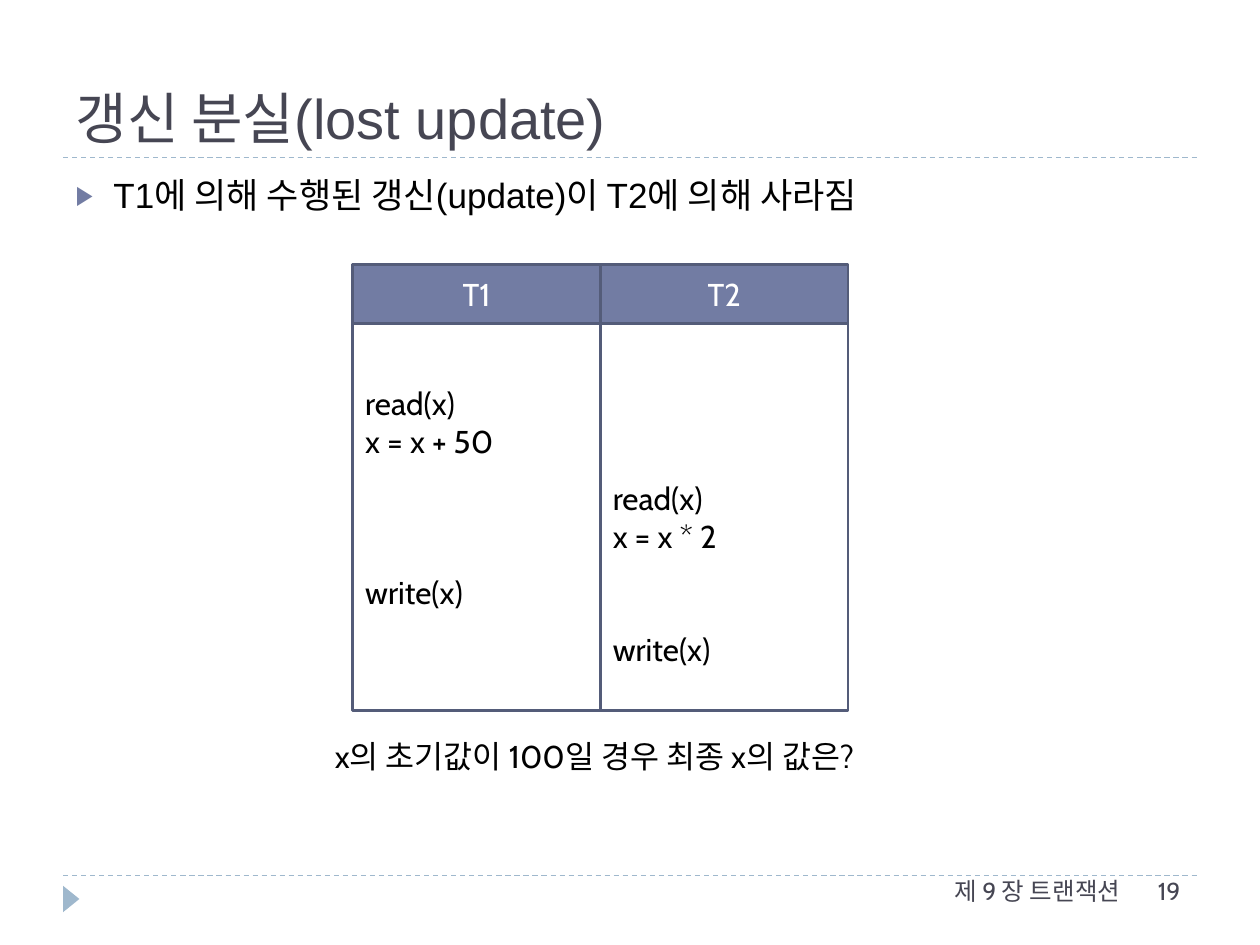
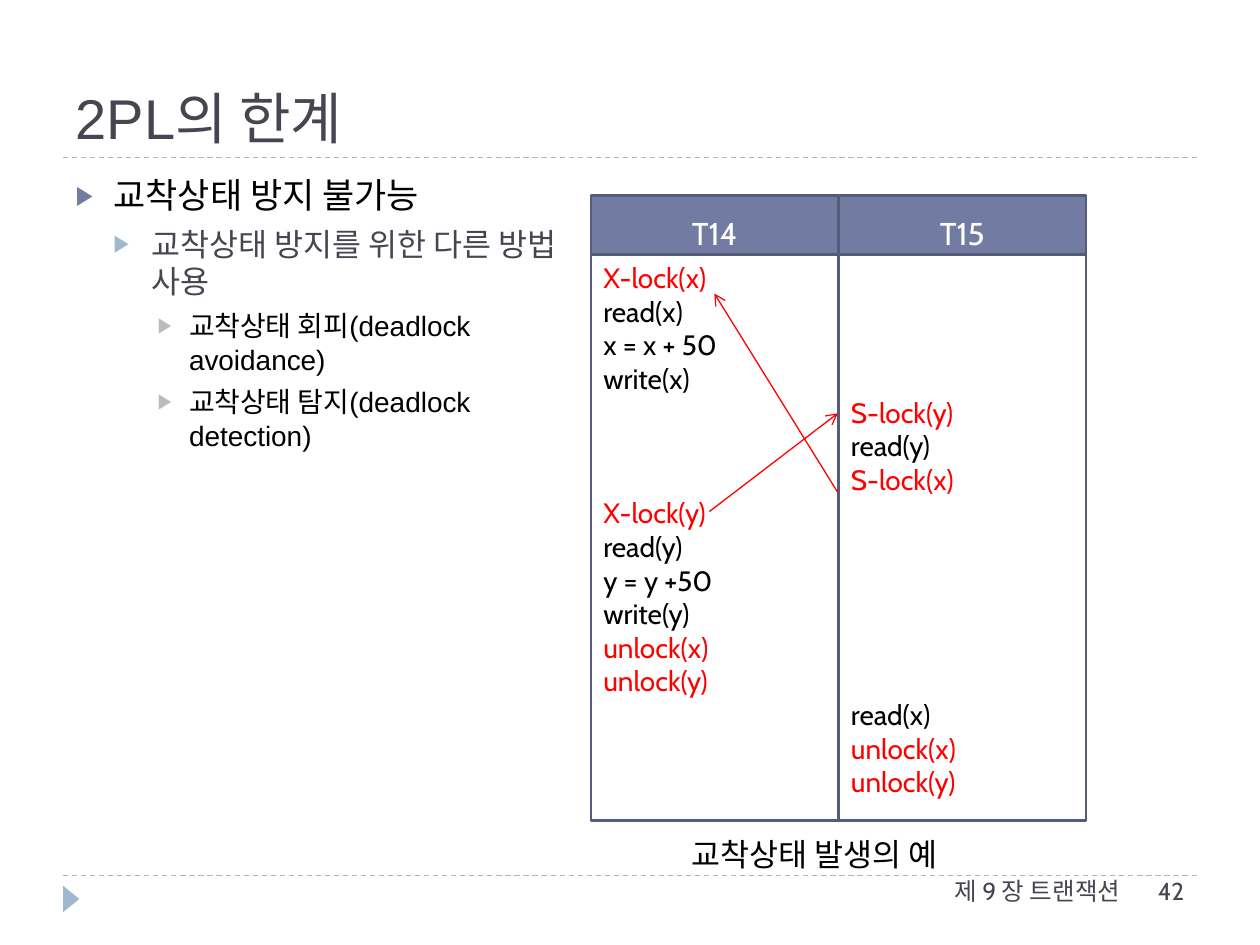
import dataclasses
from typing import Optional

import lxml.etree
import pptx
import pptx.dml.color
import pptx.enum.dml
import pptx.enum.shapes
import pptx.enum.text
import pptx.oxml.ns
import pptx.slide
import pptx.util

RGBColor = pptx.dml.color.RGBColor
Anchor = pptx.enum.text.MSO_ANCHOR
Align = pptx.enum.text.PP_ALIGN
Preset = pptx.enum.shapes.MSO_SHAPE

WHITE = RGBColor(0xFF, 0xFF, 0xFF)
BLACK = RGBColor(0x00, 0x00, 0x00)
RED = RGBColor(0xFF, 0x00, 0x00)
SLATE = RGBColor(0x46, 0x46, 0x53)
INDIGO = RGBColor(0x72, 0x7C, 0xA3)
DARK_INDIGO = RGBColor(0x54, 0x5C, 0x79)
PALE_BLUE = RGBColor(0x9F, 0xB8, 0xCD)
GREY = RGBColor(0xBC, 0xBC, 0xBC)

HEADING_FONT = "Arial"
TEXT_FONT = "Cabin"
CHAPTER = "제 9 장 트랜잭션"

SLIDE_WIDTH = pptx.util.Inches(10)
SLIDE_HEIGHT = pptx.util.Inches(7.5)
GRID_COLUMNS = 20
GRID_ROWS = 15
LINE_SPACING = 1.2


@dataclasses.dataclass(frozen=True)
class Area:
    column: float
    row: float
    columns: float
    rows: float


@dataclasses.dataclass(frozen=True)
class BulletLevel:
    indent: float
    hanging: float
    before: float
    size: float
    color: RGBColor
    bullet_color: RGBColor


@dataclasses.dataclass(frozen=True)
class Bullet:
    text: str
    level: int = 0


@dataclasses.dataclass(frozen=True)
class Step:
    row: float
    text: str


@dataclasses.dataclass(frozen=True)
class Transaction:
    name: str
    steps: list[Step]


@dataclasses.dataclass(frozen=True)
class Schedule:
    column: float
    header_row: float
    header_rows: float
    body_row: float
    body_rows: float
    top_inset: float
    size: float
    fill: Optional[RGBColor]
    transactions: list[Transaction]


@dataclasses.dataclass(frozen=True)
class Arrow:
    start: tuple[float, float]
    end: tuple[float, float]


@dataclasses.dataclass(frozen=True)
class Lesson:
    title: str
    number: str
    body_columns: float
    bullets: list[Bullet]
    schedule: Schedule
    caption: str
    caption_area: Area
    arrows: list[Arrow]


TITLE_AREA = Area(1, 0.34, 18, 2.16)
MARKER_AREA = Area(0.92, 14.14, 0.42, 0.26)
CHAPTER_AREA = Area(10.38, 13.8, 7.6, 0.8)
NUMBER_AREA = Area(18.18, 13.8, 1.42, 0.8)
BODY_ROW, BODY_ROWS = 2.66, 10.8
RULE_ROWS = (2.5, 13.9)
TRANSACTION_COLUMNS = 3.93

LEVELS = [
    BulletLevel(0.3, 0.3, 6, 20, BLACK, INDIGO),
    BulletLevel(0.6, 0.3, 5, 18, SLATE, PALE_BLUE),
    BulletLevel(0.9, 0.25, 5, 16, BLACK, GREY),
]

LESSONS = [
    Lesson(
        "갱신 분실(lost update)", "19", 18,
        [Bullet("T1에 의해 수행된 갱신(update)이 T2에 의해 사라짐")],
        Schedule(5.6, 4.2, 0.94, 5.14, 6.14, 0.33, 18, None, [
            Transaction("T1", [Step(0.5, "read(x)"), Step(1.5, "x = x + 50"),
                               Step(5.5, "write(x)")]),
            Transaction("T2", [Step(3, "read(x)"), Step(4, "x = x * 2"),
                               Step(7, "write(x)")]),
        ]),
        "x의 초기값이 100일 경우 최종 x의 값은?", Area(5.12, 11.6, 9.24, 0.8), [],
    ),
    Lesson(
        "2PL의 한계", "42", 8.06,
        [Bullet("교착상태 방지 불가능"),
         Bullet("교착상태 방지를 위한 다른 방법 사용", 1),
         Bullet("교착상태 회피(deadlock avoidance)", 2),
         Bullet("교착상태 탐지(deadlock detection)", 2)],
        Schedule(9.38, 3.1, 1.18, 4.04, 8.98, 0.05, 16, WHITE, [
            Transaction("T14", [
                Step(0, "X-lock(x)"), Step(1, "read(x)"), Step(2, "x = x + 50"),
                Step(3, "write(x)"), Step(7, "X-lock(y)"), Step(8, "read(y)"),
                Step(9, "y = y +50"), Step(10, "write(y)"),
                Step(11, "unlock(x)"), Step(12, "unlock(y)")]),
            Transaction("T15", [
                Step(4, "S-lock(y)"), Step(5, "read(y)"), Step(6, "S-lock(x)"),
                Step(13, "read(x)"), Step(14, "unlock(x)"), Step(15, "unlock(y)")]),
        ]),
        "교착상태 발생의 예", Area(10.78, 13.16, 4.72, 0.8),
        [Arrow((13.3, 7.82), (11.34, 4.66)), Arrow((11.26, 8.12), (13.3, 6.56))],
    ),
]


def across(columns: float) -> int:
    return round(SLIDE_WIDTH * columns / GRID_COLUMNS)


def down(rows: float) -> int:
    return round(SLIDE_HEIGHT * rows / GRID_ROWS)


def bounds(area: Area) -> tuple[int, int, int, int]:
    return across(area.column), down(area.row), across(area.columns), down(area.rows)


def place(shape, area: Area) -> None:
    shape.left, shape.top, shape.width, shape.height = bounds(area)


def style(para, size: float, color: RGBColor, font: str = TEXT_FONT,
          align: Align = Align.LEFT) -> None:
    para.alignment = align
    for span in para.runs:
        span.font.size = pptx.util.Pt(size)
        span.font.name = font
        span.font.color.rgb = color


def add_line(page: pptx.slide.Slide, start: tuple[float, float],
             end: tuple[float, float], color: RGBColor):
    line = page.shapes.add_connector(
        pptx.enum.shapes.MSO_CONNECTOR.STRAIGHT,
        across(start[0]), down(start[1]), across(end[0]), down(end[1]))
    line.line.color.rgb = color
    line.line.width = pptx.util.Pt(0.75)
    lxml.etree.SubElement(line._element.spPr, pptx.oxml.ns.qn("a:effectLst"))
    return line


def add_arrow(page: pptx.slide.Slide, arrow: Arrow) -> None:
    line = add_line(page, arrow.start, arrow.end, RED)
    outline = line.line._get_or_add_ln()
    lxml.etree.SubElement(outline, pptx.oxml.ns.qn("a:tailEnd"), type="arrow")


def add_label(page: pptx.slide.Slide, area: Area, text: str, size: float,
              color: RGBColor, align: Align = Align.LEFT, wrap: bool = True) -> None:
    frame = page.shapes.add_textbox(*bounds(area)).text_frame
    frame.word_wrap = wrap
    frame.text = text
    style(frame.paragraphs[0], size, color, align=align)


def add_cell(page: pptx.slide.Slide, area: Area, fill: Optional[RGBColor]):
    cell = page.shapes.add_shape(Preset.RECTANGLE, *bounds(area))
    cell.shadow.inherit = False
    if fill is None:
        cell.fill.background()
    else:
        cell.fill.solid()
        cell.fill.fore_color.rgb = fill
    cell.line.color.rgb = DARK_INDIGO
    cell.line.width = pptx.util.Pt(1.5)
    return cell.text_frame


def add_schedule(page: pptx.slide.Slide, schedule: Schedule) -> None:
    row_height = pptx.util.Pt(schedule.size * LINE_SPACING)
    for index, transaction in enumerate(schedule.transactions):
        column = schedule.column + index * TRANSACTION_COLUMNS
        header = add_cell(page, Area(column, schedule.header_row, TRANSACTION_COLUMNS,
                                     schedule.header_rows), INDIGO)
        header.vertical_anchor = Anchor.MIDDLE
        header.text = transaction.name
        style(header.paragraphs[0], 18, WHITE, align=Align.CENTER)

        frame = add_cell(page, Area(column, schedule.body_row, TRANSACTION_COLUMNS,
                                    schedule.body_rows), schedule.fill)
        steps = transaction.steps
        frame.vertical_anchor = Anchor.TOP
        frame.margin_top = (pptx.util.Inches(schedule.top_inset)
                            + round(steps[0].row * row_height))
        frame.text = "\n".join(step.text for step in steps)
        for para, step in zip(frame.paragraphs, steps):
            style(para, schedule.size, RED if "lock" in step.text else BLACK)
        for para, previous, step in zip(frame.paragraphs[1:], steps, steps[1:]):
            para.space_before = round((step.row - previous.row - 1) * row_height)


def add_bullet_mark(para, level: BulletLevel) -> None:
    qn = pptx.oxml.ns.qn
    properties = para._p.get_or_add_pPr()
    properties.set("marL", str(pptx.util.Inches(level.indent)))
    properties.set("indent", str(-pptx.util.Inches(level.hanging)))
    color = lxml.etree.SubElement(properties, qn("a:buClr"))
    lxml.etree.SubElement(color, qn("a:srgbClr"), val=str(level.bullet_color))
    lxml.etree.SubElement(properties, qn("a:buSzPct"), val="76000")
    lxml.etree.SubElement(properties, qn("a:buChar"), char="▶")


def fill_title(page: pptx.slide.Slide, text: str) -> None:
    title = page.shapes.title
    place(title, TITLE_AREA)
    frame = title.text_frame
    frame.text = text
    frame.auto_size = pptx.enum.text.MSO_AUTO_SIZE.NONE
    frame.vertical_anchor = Anchor.BOTTOM
    style(frame.paragraphs[0], 32, SLATE, HEADING_FONT)


def fill_body(page: pptx.slide.Slide, columns: float, bullets: list[Bullet]) -> None:
    body = page.placeholders[1]
    place(body, Area(1, BODY_ROW, columns, BODY_ROWS))
    frame = body.text_frame
    frame.text = "\n".join(bullet.text for bullet in bullets)
    frame.auto_size = pptx.enum.text.MSO_AUTO_SIZE.NONE
    for para, bullet in zip(frame.paragraphs, bullets):
        level = LEVELS[bullet.level]
        para.level = bullet.level
        para.space_before = pptx.util.Pt(level.before)
        style(para, level.size, level.color, HEADING_FONT)
        add_bullet_mark(para, level)


def add_frame(page: pptx.slide.Slide, number: str) -> None:
    for row in RULE_ROWS:
        rule = add_line(page, (1, row), (19, row), PALE_BLUE)
        rule.line.dash_style = pptx.enum.dml.MSO_LINE.DASH
    marker = page.shapes.add_shape(Preset.ISOSCELES_TRIANGLE, *bounds(MARKER_AREA))
    marker.rotation = 90
    marker.shadow.inherit = False
    marker.fill.solid()
    marker.fill.fore_color.rgb = PALE_BLUE
    marker.line.fill.background()
    add_label(page, CHAPTER_AREA, CHAPTER, 14, SLATE, Align.RIGHT)
    add_label(page, NUMBER_AREA, number, 14, SLATE)


def add_lesson(deck, lesson: Lesson) -> None:
    page = deck.slides.add_slide(deck.slide_layouts[1])
    add_frame(page, lesson.number)
    fill_title(page, lesson.title)
    fill_body(page, lesson.body_columns, lesson.bullets)
    add_schedule(page, lesson.schedule)
    add_label(page, lesson.caption_area, lesson.caption, 18, BLACK, wrap=False)
    for arrow in lesson.arrows:
        add_arrow(page, arrow)


def main() -> None:
    deck = pptx.Presentation()
    deck.slide_width = SLIDE_WIDTH
    deck.slide_height = SLIDE_HEIGHT
    for lesson in LESSONS:
        add_lesson(deck, lesson)
    deck.save("out.pptx")


if __name__ == "__main__":
    main()
